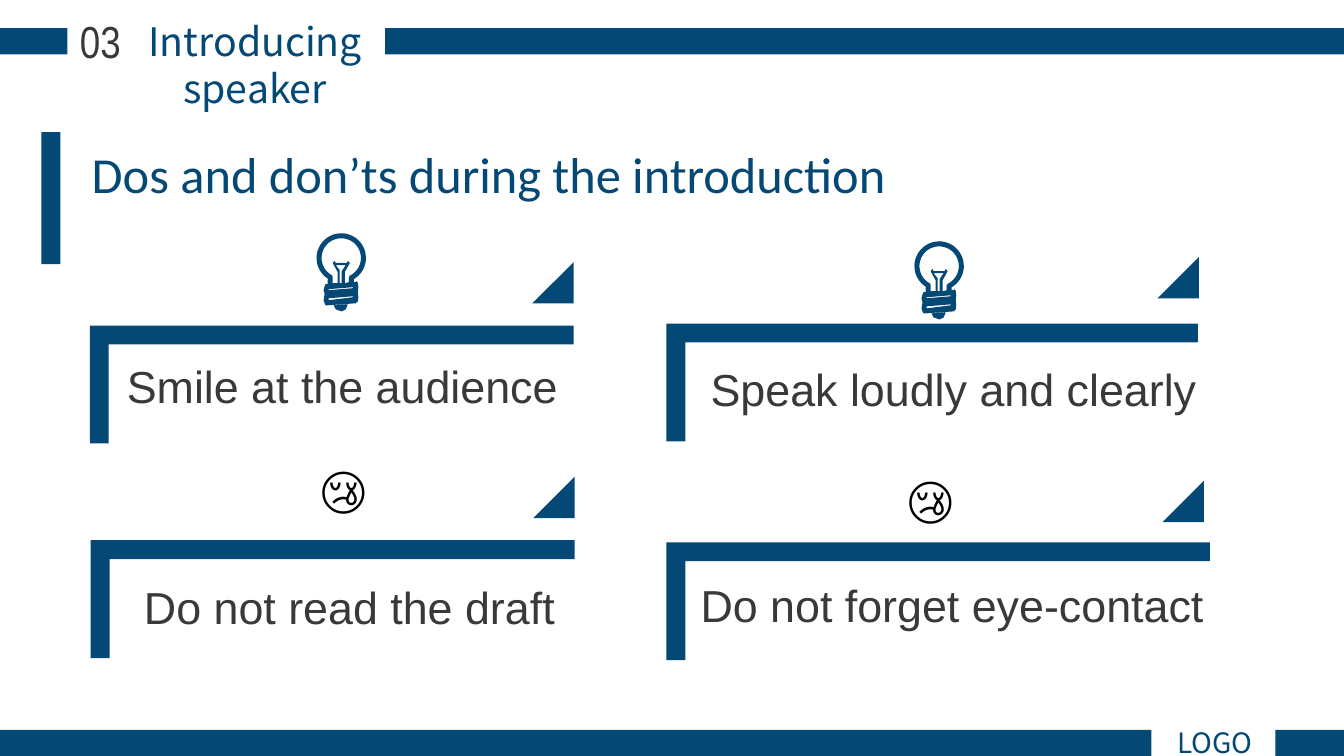
"""Build the slide on dos and don'ts when introducing a speaker."""
from math import cos, radians, sin

from pptx import Presentation
from pptx.dml.color import RGBColor
from pptx.enum.shapes import MSO_SHAPE
from pptx.enum.text import MSO_ANCHOR, PP_ALIGN
from pptx.util import Inches, Pt

NAVY, GRAY, BLACK = "044875", "3B3838", "000000"
HEADER_FONT = "Noto Sans CJK SC"


def paint(shape, color):
    shape.shadow.inherit = False
    shape.fill.solid()
    shape.fill.fore_color.rgb = RGBColor.from_string(color)
    shape.line.fill.background()


def write(box, text, size, font, color, align=PP_ALIGN.LEFT, spacing=None):
    frame = box.text_frame
    frame.text = text
    frame.word_wrap = True
    frame.vertical_anchor = MSO_ANCHOR.TOP
    para = frame.paragraphs[0]
    para.alignment = align
    if spacing:
        para.line_spacing = Pt(spacing)
    span = para.runs[0]
    span.font.size = Pt(size)
    span.font.name = font
    span.font.color.rgb = RGBColor.from_string(color)


deck = Presentation()
deck.slide_width, deck.slide_height = Inches(13.33), Inches(7.5)
page = deck.slides.add_slide(deck.slide_layouts[5])
shapes = page.shapes

bars = [
    (0, 0.28, 0.67, 0.26),
    (3.82, 0.28, 9.51, 0.26),
    (0, 7.24, 11.42, 0.26),
    (12.65, 7.24, 0.68, 0.26),
    (0.41, 1.31, 0.19, 1.31),
]
for bar in bars:
    paint(shapes.add_shape(MSO_SHAPE.RECTANGLE, *map(Inches, bar)), NAVY)

title = shapes.title
title.left, title.top = Inches(0.81), Inches(1.64)
title.width, title.height = Inches(8.09), Inches(0.49)
write(title, "Dos and don’ts during the introduction", 36, "Calibri", NAVY, spacing=24)

labels = [
    ("Introducing speaker", (0.73, 0.12, 3.6, 1.04), 28, HEADER_FONT, NAVY),
    ("03", (0.6, 0.09, 0.79, 0.64), 32, "Arial Narrow", GRAY),
    ("LOGO", (11.23, 7.15, 1.64, 0.44), 20, HEADER_FONT, NAVY),
]
for text, area, size, font, color in labels:
    box = shapes.add_textbox(*map(Inches, area))
    write(box, text, size, font, color, PP_ALIGN.CENTER)

cards = [
    ("Smile at the audience", (1.16, 3.7, 4.93, 0.47), 25, (0.89, 3.23, 4.8), (5.28, 2.6)),
    ("Speak loudly and clearly", (6.95, 3.7, 6.2, 0.49), 27, (6.61, 3.21, 5.27), (11.48, 2.55)),
    ("Do not read the draft", (1.33, 5.89, 4.93, 0.47), 25, (0.9, 5.36, 4.8), (5.29, 4.73)),
    ("Do not forget eye-contact", (6.85, 5.87, 5.26, 0.47), 25, (6.61, 5.38, 5.39), (11.53, 4.77)),
]
depth = 1.17
for text, area, spacing, (left, top, width), corner in cards:
    bracket = shapes.add_shape(
        MSO_SHAPE.CORNER,
        Inches(left + (width - depth) / 2), Inches(top + (depth - width) / 2),
        Inches(depth), Inches(width),
    )
    bracket.rotation = 90
    bracket.adjustments[0] = bracket.adjustments[1] = 0.16
    paint(bracket, NAVY)
    triangle = shapes.add_shape(
        MSO_SHAPE.ISOSCELES_TRIANGLE, *map(Inches, (*corner, 0.41, 0.41)))
    triangle.adjustments[0] = 1
    paint(triangle, NAVY)
    write(shapes.add_textbox(*map(Inches, area)), text, 32, "Arial", GRAY, spacing=spacing)

glass, hollow = [
    [(24.5 + radius * cos(radians(angle)), 25 + radius * sin(radians(angle)))
     for angle in range(first, last, step)]
    for radius, first, last, step in [(24.5, 122, 420, 6), (19.5, 63, -244, -6)]
]
socket = [
    (37, 46), (37, 49), (39, 49), (40, 48), (41, 50), (41.5, 54), (41, 59),
    (41.5, 64), (41, 68), (39, 70), (11, 72), (9, 72), (8, 70), (7, 67),
    (8, 61), (7, 57), (8, 53), (9, 51), (11, 51), (11, 47),
]
wires = [
    (16, 44), (16, 50), (21, 50), (21, 39), (16, 30), (18, 28), (19, 30),
    (30, 30), (31, 28), (33, 30), (28, 39), (28, 50), (32, 49), (32, 44),
]
bulb_outlines = [
    glass + socket,
    hollow + wires,
    [(29, 32), (19, 32), (23, 37), (23, 50), (25, 50), (25, 38)],
    [(31, 71), (17, 72), (19, 76), (25, 78), (29, 76)],
    [(36, 63), (12, 65), (12, 67), (36, 64)],
    [(36, 54), (12, 56), (12, 57), (36, 55)],
]
for left, top in [(3.14, 2.31), (9.07, 2.39)]:
    builder = shapes.build_freeform(scale=Inches(0.001))
    for outline in bulb_outlines:
        points = [(round(x * 10), round(y * 10)) for x, y in outline]
        builder.move_to(*points[0])
        builder.add_line_segments(points[1:], close=True)
    paint(builder.convert_to_shape(Inches(left), Inches(top)), NAVY)

for left, top in [(3.08, 4.49), (8.9, 4.58)]:
    face = shapes.add_textbox(*map(Inches, (left, top, 0.95, 0.71)))
    write(face, "😢", 36, "Calibri", BLACK)

deck.save("out.pptx")
